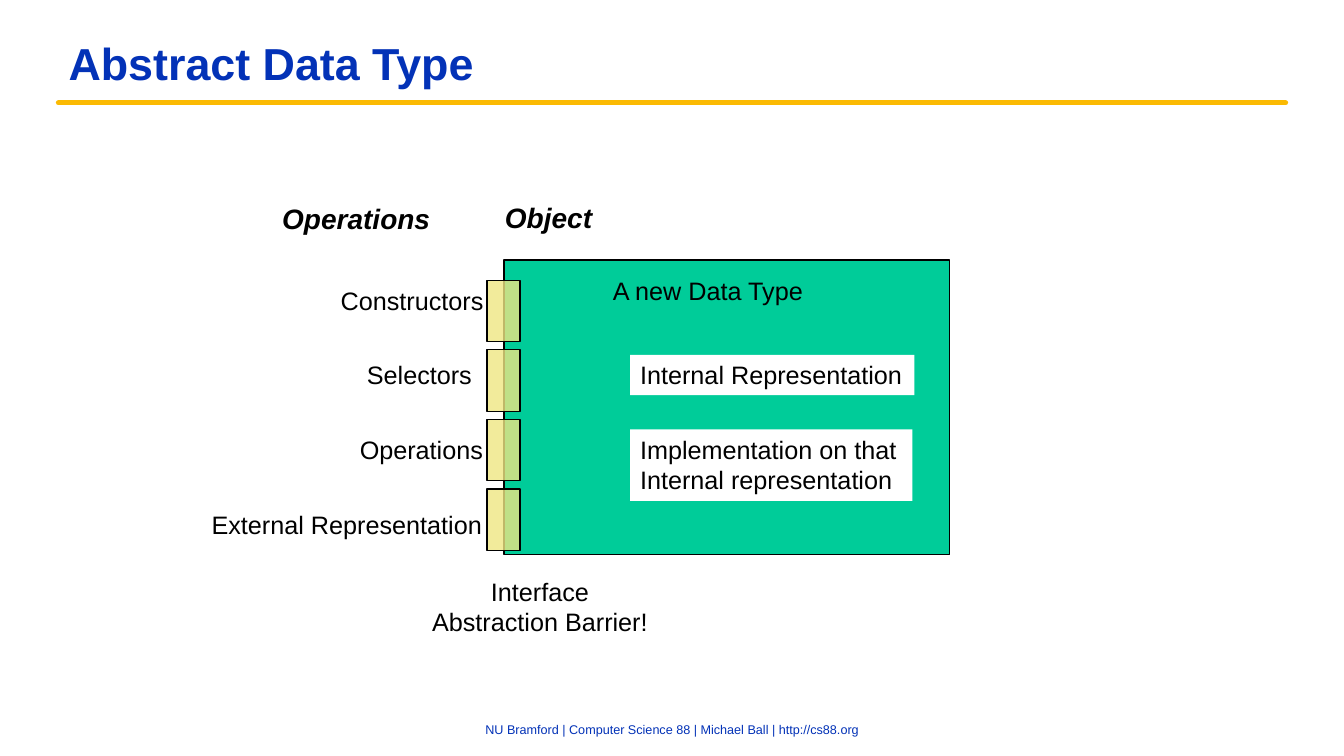
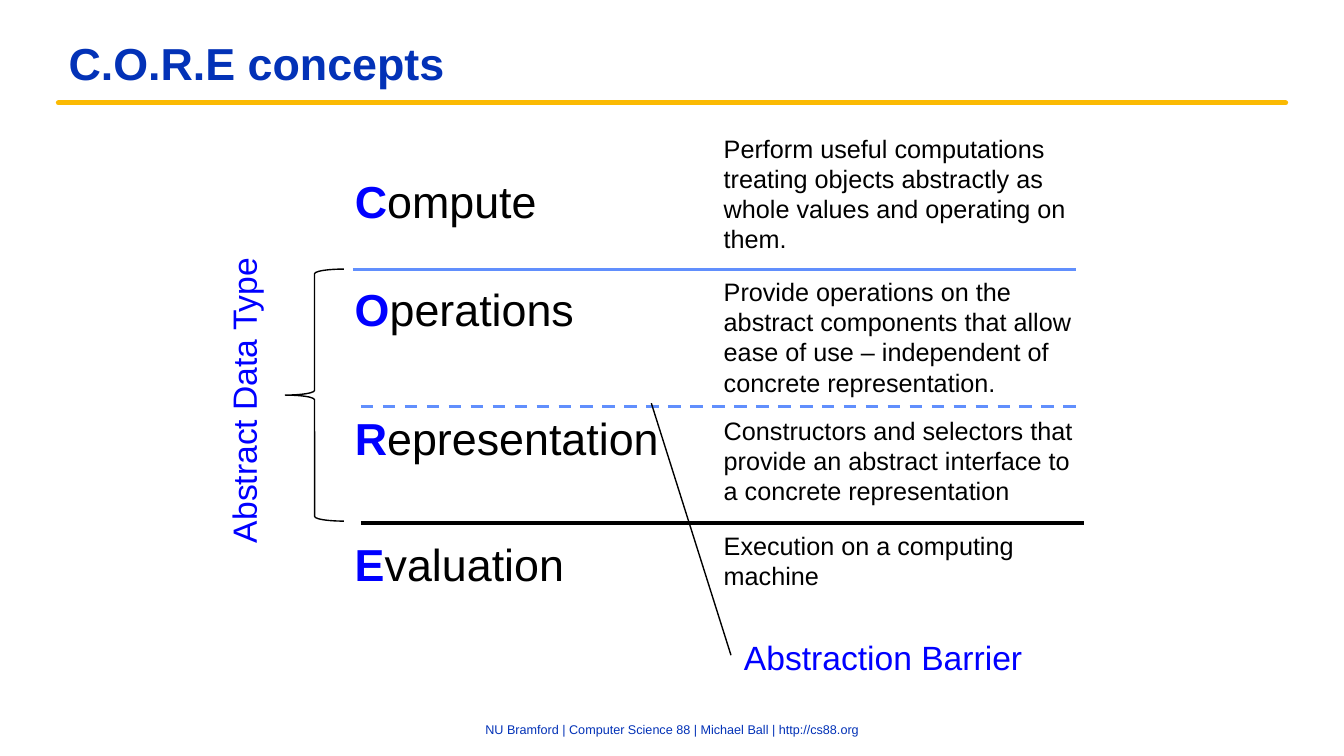
"""Build two slides on abstract data types and the C.O.R.E concepts."""
import dataclasses

import lxml.etree
import pptx
import pptx.dml.color
import pptx.enum.dml
import pptx.enum.shapes
import pptx.enum.text
import pptx.oxml.ns
import pptx.util

Inches = pptx.util.Inches
Pt = pptx.util.Pt
qn = pptx.oxml.ns.qn
SHAPE = pptx.enum.shapes.MSO_SHAPE
ALIGN = pptx.enum.text.PP_ALIGN


@dataclasses.dataclass(frozen=True)
class Theme:
    """Colours, font and type sizes of the deck."""
    font: str = "Arial"
    title: str = "0332B7"
    gold: str = "FBBA03"
    ink: str = "000000"
    paper: str = "FFFFFF"
    accent: str = "0000FF"
    divider: str = "618FFD"
    box: str = "00CC99"
    port: str = "EFE683"
    display: int = 32
    callout: int = 24
    heading: int = 20
    body: int = 18
    footer: int = 9


THEME = Theme()


def rgb(color):
    """Turn a hex string into a colour."""
    return pptx.dml.color.RGBColor.from_string(color)


def style_run(r, size, color, bold=False, italic=False):
    """Format one run."""
    f = r.font
    f.name, f.size, f.bold, f.italic = THEME.font, Pt(size), bold, italic
    f.color.rgb = rgb(color)


def style_text(tf, size, color, bold=False, italic=False, align=ALIGN.LEFT, spacing=None):
    """Format every paragraph and run of a text frame."""
    for p in tf.paragraphs:
        p.alignment = align
        if spacing:
            p.line_spacing = spacing
        for r in p.runs:
            style_run(r, size, color, bold, italic)


def add_text(slide, box, text, size=THEME.body, color=THEME.ink, wrap=False, fill=None, **style):
    """Add a text box, one paragraph for each line of text."""
    sp = slide.shapes.add_textbox(*map(Inches, box))
    tf = sp.text_frame
    tf.word_wrap = wrap
    tf.text = text
    style_text(tf, size, color, **style)
    if fill:
        sp.fill.solid()
        sp.fill.fore_color.rgb = rgb(fill)
    return sp


def add_outlined(slide, kind, box, fill=None, alpha=None):
    """Add a preset shape with a thin dark outline."""
    sp = slide.shapes.add_shape(kind, *map(Inches, box))
    sp.shadow.inherit = False
    sp.line.color.rgb = rgb(THEME.ink)
    sp.line.width = Pt(1)
    if fill:
        sp.fill.solid()
        sp.fill.fore_color.rgb = rgb(fill)
    else:
        sp.fill.background()
    if alpha:
        clr = sp.fill._xPr.find(qn("a:solidFill")).find(qn("a:srgbClr"))
        lxml.etree.SubElement(clr, qn("a:alpha")).set("val", str(alpha * 1000))
    return sp


def add_line(slide, start, end, color, width, dash=None, cap=None):
    """Add a straight line."""
    ends = map(Inches, (*start, *end))
    cn = slide.shapes.add_connector(pptx.enum.shapes.MSO_CONNECTOR.STRAIGHT, *ends)
    cn.line.color.rgb = rgb(color)
    cn.line.width = Pt(width)
    if dash:
        cn.line.dash_style = dash
    if cap:
        cn.line._get_or_add_ln().set("cap", cap)
    lxml.etree.SubElement(cn._element.spPr, qn("a:effectLst"))


def add_slide(prs, title):
    """Add a slide with the shared title, rule and footer."""
    slide = prs.slides.add_slide(prs.slide_layouts[5])
    add_line(slide, (0.58, 1.02), (12.75, 1.02), THEME.gold, 3.75, cap="rnd")
    footer = add_text(slide, (4.26, 7.07, 4.81, 0.36),
                      "NU Bramford | Computer Science 88 | Michael Ball | http://cs88.org",
                      THEME.footer, THEME.title, wrap=True, align=ALIGN.CENTER, spacing=0.9)
    sp = slide.shapes.title
    sp.left, sp.top, sp.width, sp.height = map(Inches, (0.58, 0.25, 11.17, 0.81))
    sp.text_frame.text = title
    sp.text_frame.auto_size = pptx.enum.text.MSO_AUTO_SIZE.NONE
    style_text(sp.text_frame, THEME.display, THEME.title, bold=True, spacing=0.9)
    for shape in (sp, footer):
        shape.text_frame.vertical_anchor = pptx.enum.text.MSO_ANCHOR.MIDDLE
    return slide


def build_data_type(prs):
    """Build the diagram of an object behind its interface."""
    slide = add_slide(prs, "Abstract Data Type")
    add_outlined(slide, SHAPE.RECTANGLE, (5, 2.58, 4.42, 2.92), THEME.box)
    add_text(slide, (5.98, 2.68, 2.1, 0.4), "A new Data Type")
    add_text(slide, (6.25, 3.52, 2.82, 0.4), "Internal Representation", fill=THEME.paper)
    add_text(slide, (6.25, 4.26, 2.8, 0.71),
             "Implementation on that\nInternal representation", fill=THEME.paper)
    for left, top, width, text in ((2.7, 1.95, 1.68, "Operations"), (4.91, 1.94, 1.07, "Object")):
        add_text(slide, (left, top, width, 0.44), text, THEME.heading, bold=True, italic=True)
    ports = ((3.28, 1.63, "Constructors"), (3.54, 1.25, "Selectors"),
             (3.47, 1.44, "Operations"), (2, 2.91, "External Representation"))
    for i, (left, width, text) in enumerate(ports):
        add_text(slide, (left, 2.78 + i * 0.74, width, 0.4), text)
        add_outlined(slide, SHAPE.RECTANGLE, (4.83, 2.78 + i * 0.69, 0.33, 0.61), THEME.port, 80)
    add_text(slide, (3.9, 5.67, 2.91, 0.71), "Interface\nAbstraction Barrier!",
             wrap=True, align=ALIGN.CENTER)


def add_concept(slide, top, width, word):
    """Add a concept name with its first letter stressed."""
    sp = add_text(slide, (3.42, top, width, 0.64), word[0], THEME.display, THEME.accent, bold=True)
    r = sp.text_frame.paragraphs[0].add_run()
    r.text = word[1:]
    style_run(r, THEME.display, THEME.ink)


def build_core(prs):
    """Build the four C.O.R.E layers and the barrier between them."""
    slide = add_slide(prs, "C.O.R.E concepts")
    layers = (
        (1.67, 2.02, "Compute", 1.27, 4, 1.31,
         "Perform useful computations treating objects abstractly as whole values "
         "and operating on them."),
        (2.75, 2.4, "Operations", 2.69, 3.83, 1.31,
         "Provide operations on the abstract components that allow ease of use – "
         "independent of concrete representation."),
        (4.03, 3.25, "Representation", 4.07, 3.83, 1.01,
         "Constructors and selectors that provide an abstract interface "
         "to a concrete representation"),
        (5.28, 2.3, "Evaluation", 5.21, 3.83, 0.71, "Execution on a computing machine"),
    )
    for word_top, word_width, word, top, width, height, text in layers:
        add_concept(slide, word_top, word_width, word)
        add_text(slide, (7.08, top, width, height), text, wrap=True)
    dash = pptx.enum.dml.MSO_LINE.DASH
    for left, y, color, weight, style in ((3.5, 2.67, THEME.divider, 2.25, None),
                                          (3.58, 4.03, THEME.divider, 2.25, dash),
                                          (3.58, 5.19, THEME.ink, 3, None)):
        add_line(slide, (left, y), (left + 7.17, y), color, weight, style)
    brace = add_outlined(slide, SHAPE.LEFT_BRACE, (2.83, 2.67, 0.58, 2.5))
    brace.adjustments[0] = 0.08
    label = add_text(slide, (0.88, 3.7, 3.07, 0.5), "Abstract Data Type",
                     THEME.callout, THEME.accent)
    label.rotation = 270
    add_text(slide, (7.28, 6.27, 3.01, 0.5), "Abstraction Barrier", THEME.callout, THEME.accent)
    add_line(slide, (6.46, 4), (7.25, 6.5), THEME.ink, 1)


def main():
    """Build and save the deck."""
    prs = pptx.Presentation()
    prs.slide_width, prs.slide_height = Inches(13.33), Inches(7.5)
    build_data_type(prs)
    build_core(prs)
    prs.save("out.pptx")


if __name__ == "__main__":
    main()
